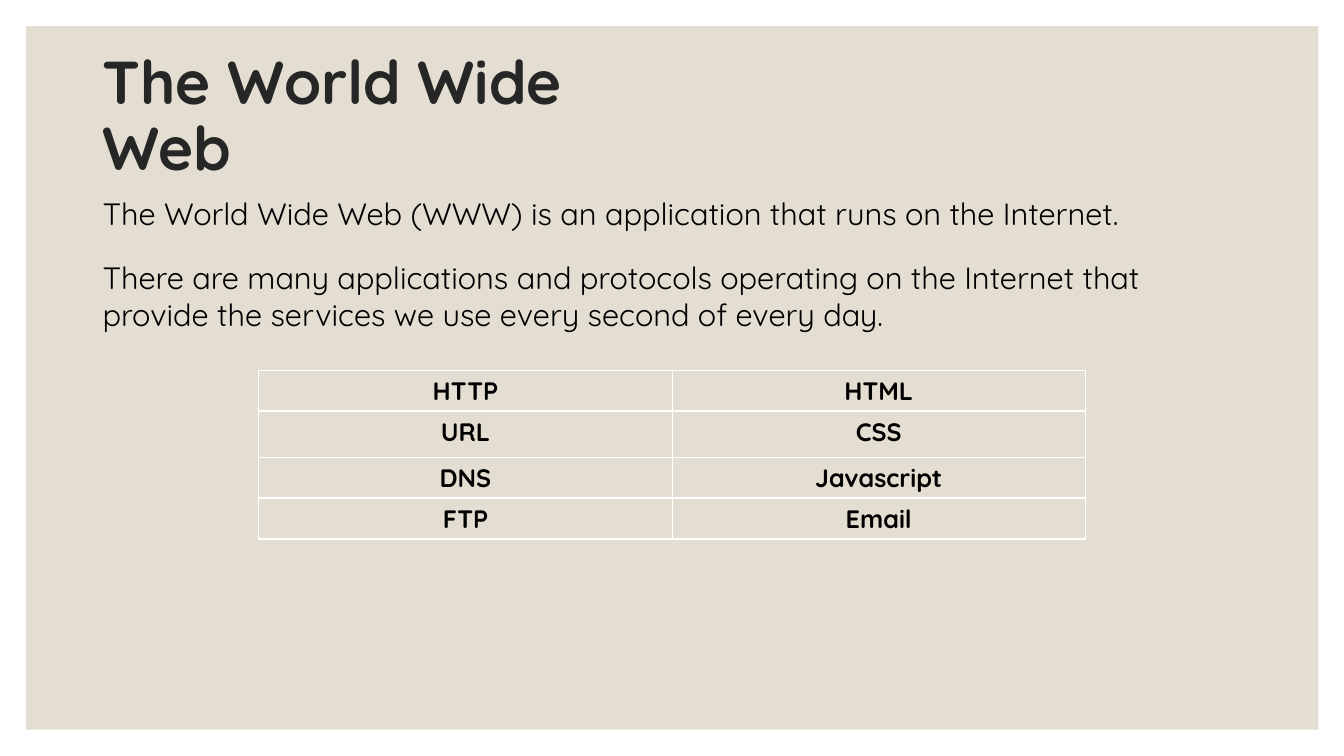
from dataclasses import dataclass

from lxml import etree
from pptx import Presentation
from pptx import util as u
from pptx.dml.color import RGBColor
from pptx.enum import shapes, text
from pptx.oxml import ns


@dataclass(frozen=True)
class Theme:
    font: str = "Quicksand"
    panel: str = "E3DED1"
    title: str = "262626"
    body: str = "000000"
    border: str = "FFFFFF"
    title_size: float = 43.2
    body_size: float = 22
    cell_size: float = 18
    border_width: float = 1


class Deck:
    def __init__(self, theme, width, height):
        self.theme = theme
        self.prs = Presentation()
        self.prs.slide_width = u.Pt(width)
        self.prs.slide_height = u.Pt(height)
        self.s = self.prs.slides.add_slide(self.prs.slide_layouts[6])

    def style(self, p, size, color, bold=False):
        for r in p.runs:
            r.font.name = self.theme.font
            r.font.size = u.Pt(size)
            r.font.bold = bold
            r.font.color.rgb = RGBColor.from_string(color)

    def panel(self, *box):
        sp = self.s.shapes.add_shape(shapes.MSO_SHAPE.RECTANGLE, *map(u.Pt, box))
        sp.shadow.inherit = False
        sp.fill.solid()
        sp.fill.fore_color.rgb = RGBColor.from_string(self.theme.panel)
        sp.line.fill.background()

    def textbox(self, content, box, size, color, bold=False,
                spacing=1.0, anchor=text.MSO_ANCHOR.TOP):
        tf = self.s.shapes.add_textbox(*map(u.Pt, box)).text_frame
        tf.word_wrap = True
        tf.vertical_anchor = anchor
        tf.text = content
        p = tf.paragraphs[0]
        p.line_spacing = spacing
        self.style(p, size, color, bold)

    def borders(self, cell):
        """Draw all four cell edges; they must precede the fill in tcPr."""
        tc_pr = cell._tc.get_or_add_tcPr()
        for i, edge in enumerate(("lnL", "lnR", "lnT", "lnB")):
            ln = etree.Element(ns.qn(f"a:{edge}"), w=str(u.Pt(self.theme.border_width)))
            fill = etree.SubElement(ln, ns.qn("a:solidFill"))
            etree.SubElement(fill, ns.qn("a:srgbClr"), val=self.theme.border)
            tc_pr.insert(i, ln)

    def table(self, rows, left, top, col_width, row_heights):
        cols = len(rows[0])
        tbl = self.s.shapes.add_table(
            len(rows), cols, u.Pt(left), u.Pt(top),
            u.Pt(col_width * cols), u.Pt(sum(row_heights))).table
        tbl.first_row = tbl.horz_banding = False
        for row, height in zip(tbl.rows, row_heights):
            row.height = u.Pt(height)
        for i, row in enumerate(rows):
            for j, label in enumerate(row):
                cell = tbl.cell(i, j)
                cell.text = label
                cell.fill.background()
                self.borders(cell)
                p = cell.text_frame.paragraphs[0]
                p.alignment = text.PP_ALIGN.CENTER
                self.style(p, self.theme.cell_size, self.theme.body, bold=True)


def main():
    theme = Theme()
    deck = Deck(theme, 960, 540)
    left, body_width = 66.24, 828
    deck.panel(18.72, 18.72, 923.04, 502.56)
    deck.textbox("The World Wide Web", (left, 45.36, 414, 77.76),
                 theme.title_size, theme.title, bold=True, spacing=0.9,
                 anchor=text.MSO_ANCHOR.MIDDLE)
    for content, top, height in (
        ("The World Wide Web (WWW) is an application that runs on the Internet.",
         135.36, 33.84),
        ("There are many applications and protocols operating on the Internet that "
         "provide the services we use every second of every day.", 181.44, 60.48),
    ):
        deck.textbox(content, (left, top, body_width, height),
                     theme.body_size, theme.body)
    deck.table([("HTTP", "HTML"), ("URL", "CSS"), ("DNS", "Javascript"), ("FTP", "Email")],
               184.9, 264.4, 295.2, (29.2, 33, 29.2, 29.2))
    deck.prs.save("out.pptx")


if __name__ == "__main__":
    main()
